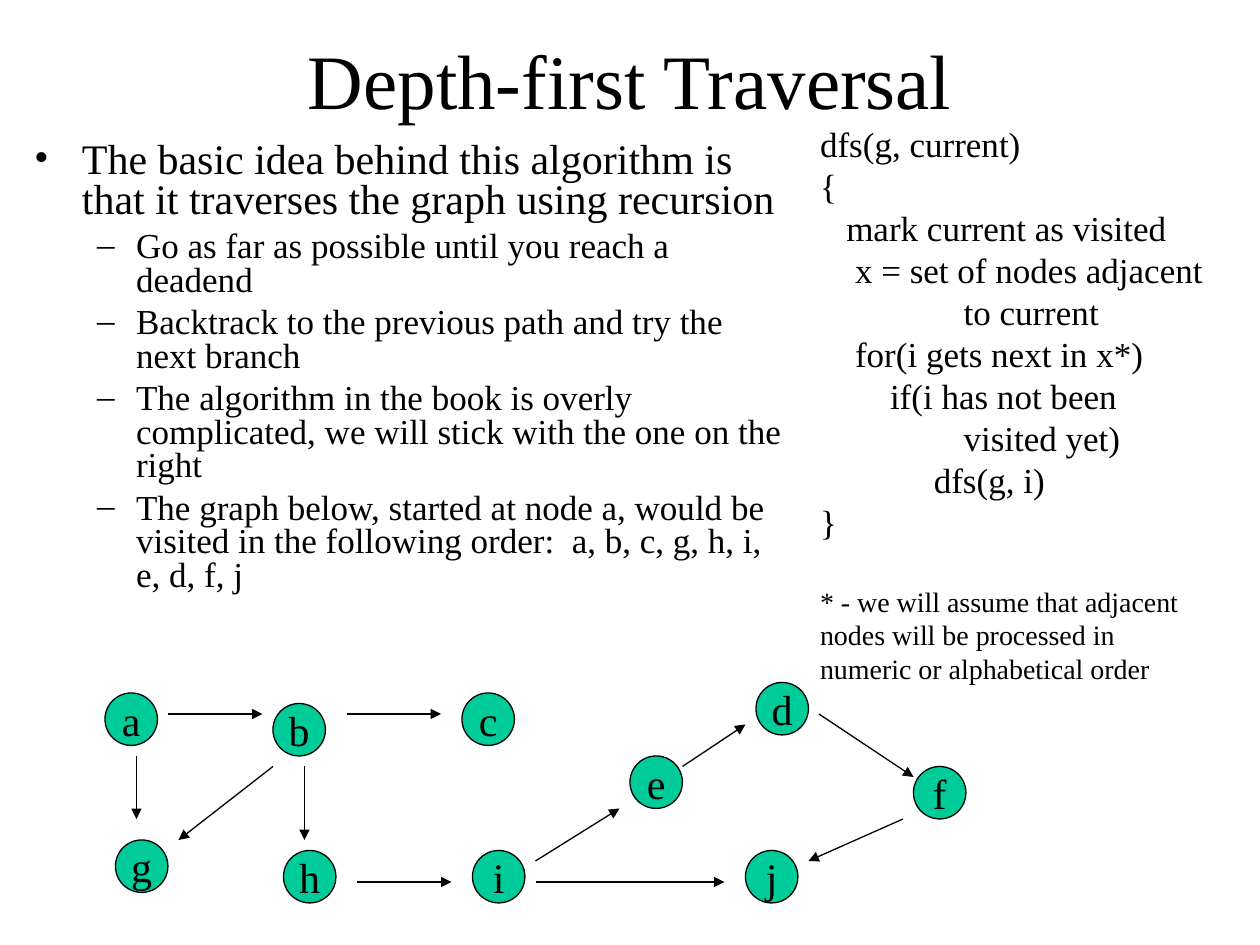
from dataclasses import dataclass

from lxml import etree
from pptx import Presentation
from pptx.dml.color import RGBColor
from pptx.enum.shapes import MSO_CONNECTOR, MSO_SHAPE
from pptx.enum.text import MSO_ANCHOR, MSO_AUTO_SIZE, PP_ALIGN
from pptx.oxml.ns import qn
from pptx.util import Inches, Pt

OVAL = MSO_SHAPE.OVAL
STRAIGHT = MSO_CONNECTOR.STRAIGHT
CENTER, MIDDLE, TOP = PP_ALIGN.CENTER, MSO_ANCHOR.MIDDLE, MSO_ANCHOR.TOP
NO_FIT = MSO_AUTO_SIZE.NONE


@dataclass(frozen=True)
class Theme:
    """Colours, font and type sizes of the slide."""
    ink: RGBColor = RGBColor(0, 0, 0)
    node: RGBColor = RGBColor(0x00, 0xCC, 0x99)
    font: str = "Times New Roman"
    title: int = 44
    body: int = 24
    detail: int = 20
    note: int = 16
    stroke: float = 0.74


theme = Theme()
UNIT = Inches(1) // 12  # the graph sits on a grid of twelve cells per inch
NODE_CELLS = 5


def write(para, text, size):
    """Add one styled run to a paragraph."""
    span = para.add_run()
    span.text = text
    span.font.name = theme.font
    span.font.size = Pt(size)
    span.font.color.rgb = theme.ink


def place(box, left, top, width, height):
    """Move and size a box, in inches."""
    box.left, box.top = Inches(left), Inches(top)
    box.width, box.height = Inches(width), Inches(height)


deck = Presentation()
deck.slide_width, deck.slide_height = Inches(10), Inches(7.5)
page = deck.slides.add_slide(deck.slide_layouts[1])
title, body = page.placeholders

# Title
place(title, 0.75, 0, 8.5, 1.25)
title.text_frame.auto_size = NO_FIT
title.text_frame.vertical_anchor = MIDDLE
title.text_frame.paragraphs[0].alignment = CENTER
write(title.text_frame.paragraphs[0], "Depth-first Traversal", theme.title)

# Bulleted explanation: level, text
points = [
    (0, "The basic idea behind this algorithm is that it traverses the graph using recursion"),
    (1, "Go as far as possible until you reach a deadend"),
    (1, "Backtrack to the previous path and try the next branch"),
    (1, "The algorithm in the book is overly complicated, we will stick with the one on the right"),
    (1, "The graph below, started at node a, would be visited in the following order:  "
        "a, b, c, g, h, i, e, d, f, j"),
]
# Per level: size, space before, left margin, hanging indent, bullet
levels = [(theme.body, 6, 0.38, -0.38, "•"), (theme.detail, 5, 0.81, -0.31, "–")]
place(body, 0.17, 1.08, 6.17, 4.08)
body.text_frame.auto_size = NO_FIT
body.text_frame.vertical_anchor = TOP
for index, (level, text) in enumerate(points):
    size, gap, margin, hanging, bullet = levels[level]
    para = body.text_frame.add_paragraph() if index else body.text_frame.paragraphs[0]
    para.level = level
    para.line_spacing = 0.8
    para.space_before = Pt(gap)
    props = para._p.get_or_add_pPr()
    props.set("marL", str(Inches(margin)))
    props.set("indent", str(Inches(hanging)))
    etree.SubElement(props, qn("a:buFont")).set("typeface", theme.font)
    etree.SubElement(props, qn("a:buChar")).set("char", bullet)
    write(para, text, size)

# Pseudocode and footnote: left indent in points, space before, size, text
code = [
    (0, "dfs(g, current)"),
    (0, "{"),
    (15, "mark current as visited"),
    (20, "x = set of nodes adjacent"),
    (82, "to current"),
    (20, "for(i gets next in x*)"),
    (40, "if(i has not been"),
    (82, "visited yet)"),
    (65, "dfs(g, i)"),
    (0, "}"),
]
note = ["* - we will assume that adjacent", "nodes will be processed in",
        "numeric or alphabetical order"]
lines = [(indent, 0, theme.detail, text) for indent, text in code]
lines += [(0, 0 if index else 24, theme.note, text) for index, text in enumerate(note)]
listing = page.shapes.add_textbox(0, 0, 0, 0)
place(listing, 6.41, 0.92, 3.31, 4.57)
listing.text_frame.word_wrap = True
for index, (indent, gap, size, text) in enumerate(lines):
    para = listing.text_frame.add_paragraph() if index else listing.text_frame.paragraphs[0]
    para.space_before = Pt(gap)
    para._p.get_or_add_pPr().set("marL", str(Pt(indent)))
    write(para, text, size)

# Graph nodes: left and top grid cell
nodes = {
    "a": (10, 66), "b": (26, 67), "c": (44, 66), "d": (72, 65), "e": (60, 72),
    "f": (87, 73), "g": (11, 80), "h": (27, 81), "i": (45, 81), "j": (71, 81),
}
for name, (column, row) in nodes.items():
    node = page.shapes.add_shape(OVAL, column * UNIT, row * UNIT,
                                 NODE_CELLS * UNIT, NODE_CELLS * UNIT)
    node.shadow.inherit = False
    node.fill.solid()
    node.fill.fore_color.rgb = theme.node
    node.line.color.rgb = theme.ink
    node.line.width = Pt(theme.stroke)
    frame = node.text_frame
    frame.word_wrap = False
    frame.vertical_anchor = MIDDLE
    frame.margin_left = frame.margin_right = Inches(0.1)
    frame.margin_top = frame.margin_bottom = Inches(0.05)
    frame.paragraphs[0].alignment = CENTER
    write(frame.paragraphs[0], name, theme.body)

# Graph edges: start and end grid cells
edges = [
    (16, 68, 25, 68), (33, 68, 42, 68), (78, 68, 87, 74), (34, 84, 43, 84),
    (26, 73, 17, 80), (29, 73, 29, 80), (51, 82, 59, 77), (65, 73, 71, 69),
    (86, 78, 77, 82), (51, 84, 69, 84), (13, 72, 13, 78),
]
for edge in edges:
    arrow = page.shapes.add_connector(STRAIGHT, *(cell * UNIT for cell in edge))
    arrow.line.color.rgb = theme.ink
    arrow.line.width = Pt(theme.stroke)
    etree.SubElement(arrow.line._get_or_add_ln(), qn("a:tailEnd")).set("type", "triangle")
    etree.SubElement(arrow._element.spPr, qn("a:effectLst"))

deck.save("out.pptx")
